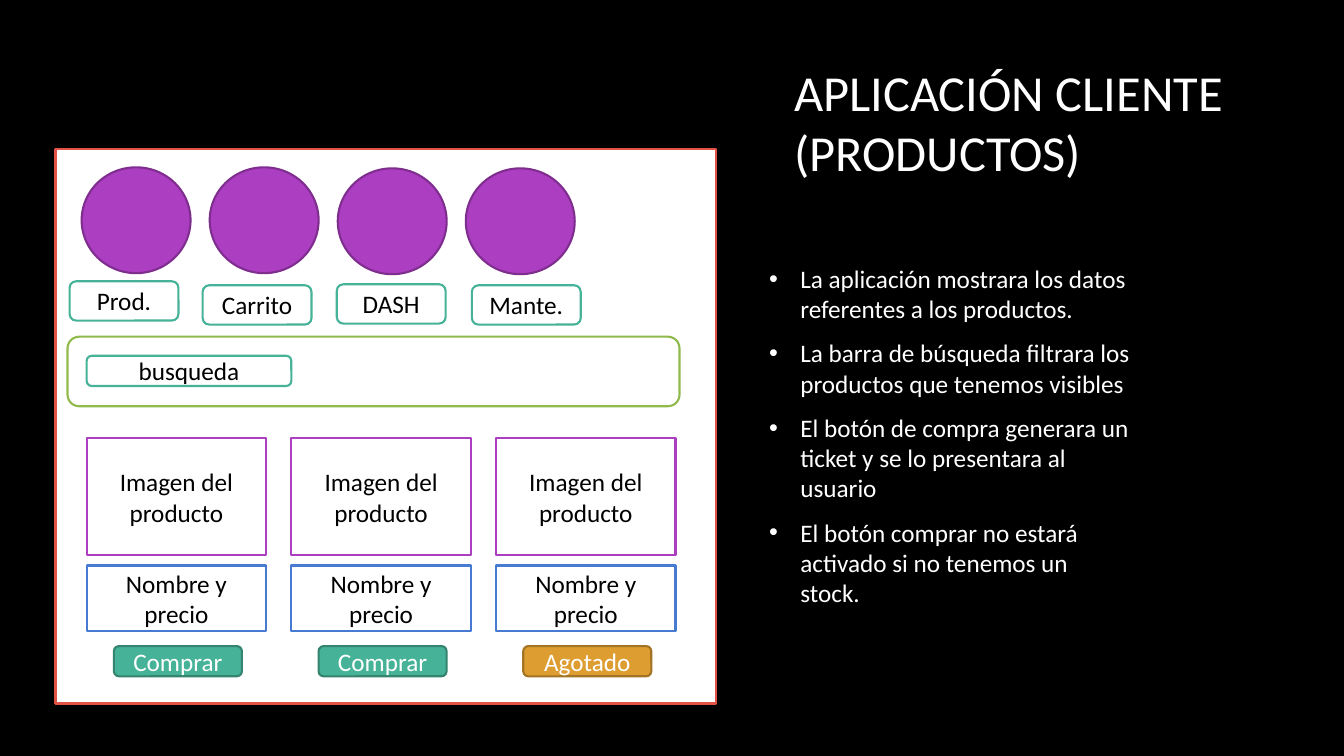
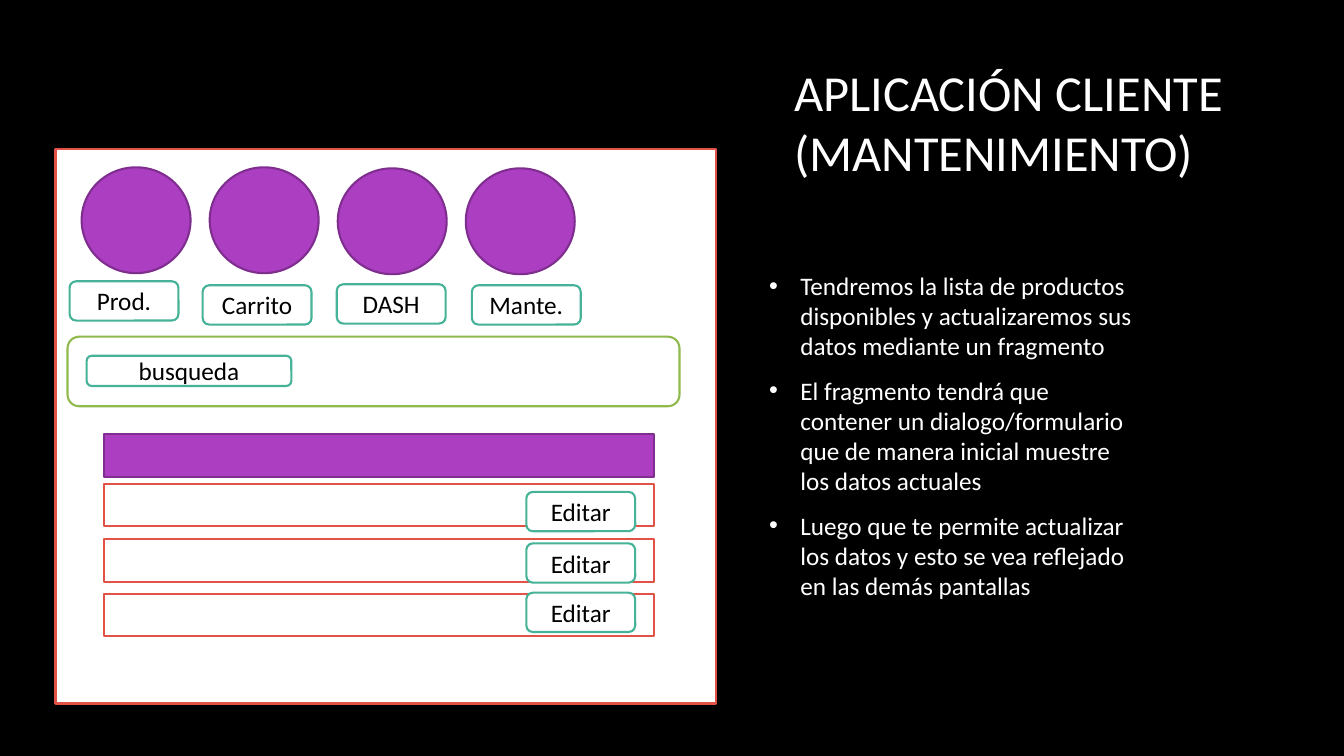
"""Builds two wireframe slides of a client application: products and maintenance."""
from pptx import Presentation
from pptx.dml.color import RGBColor
from pptx.enum.shapes import MSO_SHAPE as Shape
from pptx.enum.text import MSO_ANCHOR as Anchor, PP_ALIGN as Align
from pptx.oxml import parse_xml
from pptx.oxml.ns import nsdecls
from pptx.util import Inches, Pt

FONT = "Calibri"
BLACK, WHITE = "000000", "FFFFFF"
RED, GREEN, BLUE = "E25247", "90BA4C", "477BD1"
PURPLE, DARK_PURPLE = "AC3EC1", "7F2E8F"
TEAL, DARK_TEAL = "46B298", "348470"
ORANGE, DARK_ORANGE = "DD9D31", "A37424"


def paint(color_format, value):
    color_format.rgb = RGBColor.from_string(value)


def add_box(slide, kind, place, fill, line, text="", color=BLACK, size=18):
    if kind is None:
        box = slide.shapes.add_textbox(*map(Inches, place))
    else:
        box = slide.shapes.add_shape(kind, *map(Inches, place))
        box.shadow.inherit = False
        box.fill.solid()
        paint(box.fill.fore_color, fill)
        paint(box.line.color, line)
        box.line.width = Pt(1.5)
    frame = box.text_frame
    frame.word_wrap = True
    frame.vertical_anchor = Anchor.MIDDLE
    frame.text = text
    for para in frame.paragraphs:
        para.alignment = Align.LEFT if kind is None else Align.CENTER
        for span in para.runs:
            span.font.name = FONT
            span.font.size = Pt(size)
            paint(span.font.color, color)
    return box


pages = [
    ("APLICACIÓN CLIENTE (PRODUCTOS)", [
        "La aplicación mostrara los datos referentes a los productos.",
        "La barra de búsqueda filtrara los productos que tenemos visibles",
        "El botón de compra generara un ticket y se lo presentara al usuario",
        "El botón comprar no estará activado si no tenemos un stock.",
    ]),
    ("APLICACIÓN CLIENTE (MANTENIMIENTO)", [
        "Tendremos la lista de productos disponibles y actualizaremos sus "
        "datos mediante un fragmento",
        "El fragmento tendrá que contener un dialogo/formulario que de manera "
        "inicial muestre los datos actuales",
        "Luego que te permite actualizar los datos y esto se vea reflejado "
        "en las demás pantallas",
    ]),
]
tabs = [
    ("Prod.", 0.69, 2.79, 1.66),
    ("Carrito", 2.01, 2.83, 1.66),
    ("DASH", 3.34, 2.82, 1.67),
    ("Mante.", 4.68, 2.83, 1.67),
]

deck = Presentation()
deck.slide_width = Inches(13.33)
deck.slide_height = Inches(7.5)
slides = []

for title, points in pages:
    slide = deck.slides.add_slide(deck.slide_layouts[6])
    slides.append(slide)
    slide.background.fill.solid()
    paint(slide.background.fill.fore_color, BLACK)

    add_box(slide, None, (7.78, 0.37, 5, 1.67), None, None, title, WHITE, 36)
    body = add_box(slide, None, (7.53, 1.66, 3.8, 5.32), None, None, "\n".join(points), WHITE)
    for para in body.text_frame.paragraphs:
        para.space_after = Pt(10)
        props = para._p.get_or_add_pPr()
        props.set("marL", str(Inches(0.31)))
        props.set("indent", str(Inches(-0.31)))
        props.append(parse_xml(f'<a:buFont {nsdecls("a")} typeface="Arial"/>'))
        props.append(parse_xml(f'<a:buChar {nsdecls("a")} char="•"/>'))

    add_box(slide, Shape.RECTANGLE, (0.55, 1.48, 6.55, 5.5), WHITE, RED)
    add_box(slide, Shape.ROUNDED_RECTANGLE, (0.67, 3.34, 6.07, 0.69), WHITE, GREEN)
    add_box(slide, Shape.ROUNDED_RECTANGLE, (0.86, 3.53, 2.03, 0.3), WHITE, TEAL, "busqueda")
    for index, (label, left, top, icon_top) in enumerate(tabs):
        add_box(slide, Shape.OVAL, (0.81 + 1.27 * index, icon_top, 1.08, 1.05), PURPLE, DARK_PURPLE)
        add_box(slide, Shape.ROUNDED_RECTANGLE, (left, top, 1.08, 0.39), WHITE, TEAL, label)

products, maintenance = slides

buttons = [
    ("Comprar", TEAL, DARK_TEAL),
    ("Comprar", TEAL, DARK_TEAL),
    ("Agotado", ORANGE, DARK_ORANGE),
]
for index, (label, fill, line) in enumerate(buttons):
    left = 0.86 + 2.03 * index
    add_box(products, Shape.RECTANGLE, (left, 4.35, 1.78, 1.16), WHITE, PURPLE, "Imagen del producto")
    add_box(products, Shape.RECTANGLE, (left, 5.61, 1.78, 0.65), WHITE, BLUE, "Nombre y precio")
    add_box(products, Shape.ROUNDED_RECTANGLE, (left + 0.27, 6.41, 1.27, 0.3), fill, line, label, WHITE)

add_box(maintenance, Shape.RECTANGLE, (1.03, 4.31, 5.46, 0.42), PURPLE, DARK_PURPLE)
for row_top, button_top in [(4.8, 4.88), (5.35, 5.39), (5.89, 5.88)]:
    add_box(maintenance, Shape.RECTANGLE, (1.03, row_top, 5.46, 0.42), WHITE, RED)
    add_box(maintenance, Shape.ROUNDED_RECTANGLE, (5.22, button_top, 1.08, 0.39), WHITE, TEAL, "Editar")

deck.save("out.pptx")
